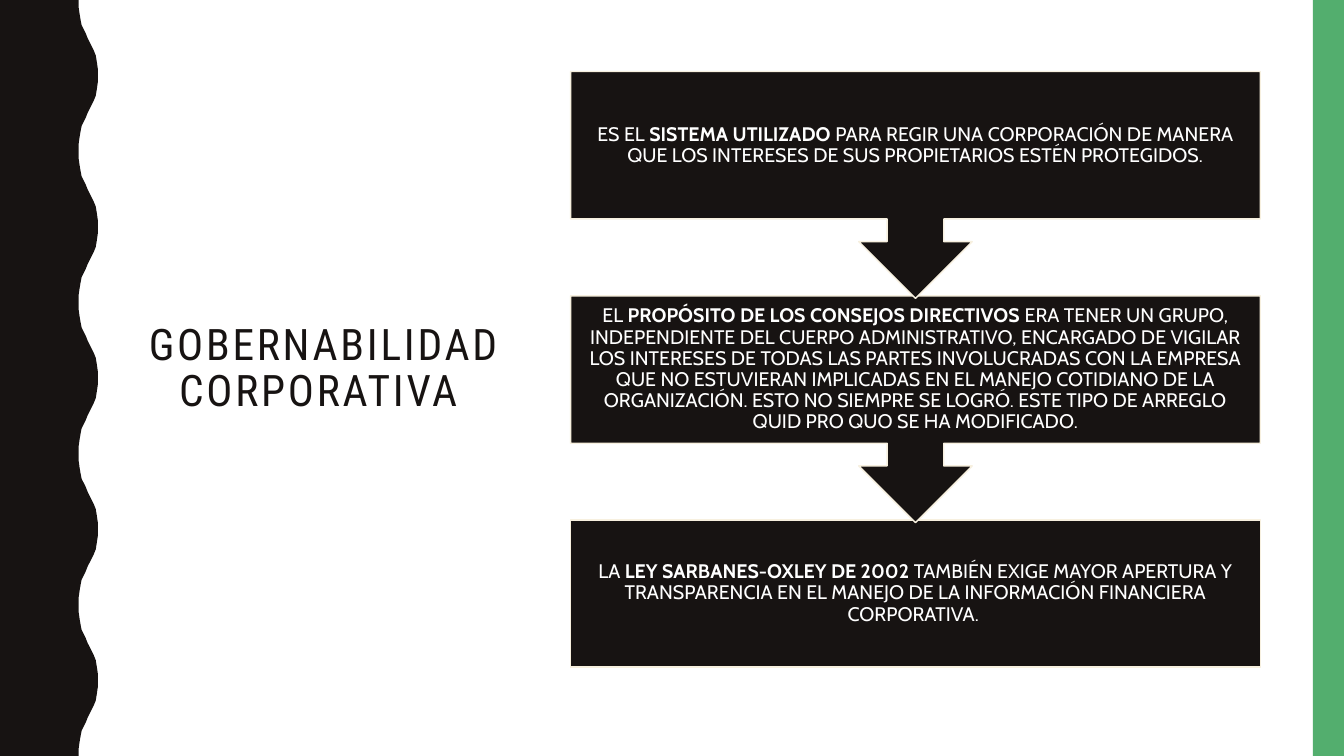
from pptx import Presentation
from pptx.dml.color import RGBColor
from pptx.enum.shapes import MSO_SHAPE
from pptx.enum.text import MSO_ANCHOR, PP_ALIGN
from pptx.util import Inches, Pt

RECTANGLE = MSO_SHAPE.RECTANGLE
ARROW_BOX = MSO_SHAPE.DOWN_ARROW_CALLOUT
MIDDLE = MSO_ANCHOR.MIDDLE
CENTER = PP_ALIGN.CENTER

INK = RGBColor(0x17, 0x13, 0x12)
GREEN = RGBColor(0x53, 0xAE, 0x6E)
CREAM = RGBColor(0xF7, 0xF0, 0xDF)
WHITE = RGBColor(0xFF, 0xFF, 0xFF)

TITLE_FORMAT = {"name": "Roboto Condensed", "size": Pt(31)}
STEP_FORMAT = {"name": "Cabin", "size": Pt(14)}

WAVE_COUNT = 5
HALF_WAVE = [
    (0.78, 0), (0.78, 0.07), (0.79, 0.14), (0.8, 0.2), (0.81, 0.25),
    (0.83, 0.29), (0.85, 0.33), (0.87, 0.38), (0.89, 0.42), (0.91, 0.46),
    (0.93, 0.5), (0.95, 0.55), (0.96, 0.61), (0.97, 0.68), (0.97, 0.75),
]

STEPS = [
    ("ES EL ", "SISTEMA UTILIZADO",
     " PARA REGIR UNA CORPORACIÓN DE MANERA QUE LOS INTERESES DE SUS "
     "PROPIETARIOS ESTÉN PROTEGIDOS."),
    ("EL ", "PROPÓSITO DE LOS CONSEJOS DIRECTIVOS ",
     "ERA TENER UN GRUPO, INDEPENDIENTE DEL CUERPO ADMINISTRATIVO, "
     "ENCARGADO DE VIGILAR LOS INTERESES DE TODAS LAS PARTES INVOLUCRADAS "
     "CON LA EMPRESA QUE NO ESTUVIERAN IMPLICADAS EN EL MANEJO COTIDIANO DE "
     "LA ORGANIZACIÓN. ESTO NO SIEMPRE SE LOGRÓ. ESTE TIPO DE ARREGLO QUID "
     "PRO QUO SE HA MODIFICADO."),
    ("LA ", "LEY SARBANES-OXLEY DE 2002",
     " TAMBIÉN EXIGE MAYOR APERTURA Y TRANSPARENCIA EN EL MANEJO DE LA "
     "INFORMACIÓN FINANCIERA CORPORATIVA. "),
]


def paint(shape, color):
    shape.shadow.inherit = False
    shape.fill.solid()
    shape.fill.fore_color.rgb = color
    shape.line.fill.background()


def centered_paragraph(shape):
    frame = shape.text_frame
    frame.word_wrap = True
    frame.vertical_anchor = MIDDLE
    paragraph = frame.paragraphs[0]
    paragraph.alignment = CENTER
    paragraph.line_spacing = 0.9
    return paragraph


def add_run(paragraph, text, color, formats):
    run = paragraph.add_run()
    run.text = text
    run.font.color.rgb = color
    for attribute, value in formats.items():
        setattr(run.font, attribute, value)
    return run


def add_wavy_band(slide, left, top, height):
    period = height / WAVE_COUNT
    outline = HALF_WAVE + [(x, period - y) for x, y in HALF_WAVE[-2:0:-1]]
    edge = [(left + Inches(x), top + Inches(wave * period + y))
            for wave in range(WAVE_COUNT) for x, y in outline]
    bottom = top + Inches(height)
    edge += [(left + Inches(HALF_WAVE[0][0]), bottom), (left, bottom)]
    builder = slide.shapes.build_freeform(left, top)
    builder.add_line_segments(edge, close=True)
    paint(builder.convert_to_shape(), INK)


def add_side_stripe(slide, left, top, width, height):
    paint(slide.shapes.add_shape(RECTANGLE, left, top, width, height), GREEN)


def add_title(slide, left, top, width, height):
    title = slide.shapes.add_textbox(left, top, width, height)
    run = add_run(centered_paragraph(title), "GOBERNABILIDAD CORPORATIVA ",
                  INK, TITLE_FORMAT)
    run._r.get_or_add_rPr().set("spc", "200")


def add_step_flow(slide, left, top, width, height):
    body_height = Inches(1.46)
    callout_height = Inches(2.25)
    pitch = (height - body_height) // (len(STEPS) - 1)
    for index, texts in reversed(list(enumerate(STEPS))):
        is_last = index == len(STEPS) - 1
        step = slide.shapes.add_shape(
            RECTANGLE if is_last else ARROW_BOX, left, top + index * pitch,
            width, body_height if is_last else callout_height)
        paint(step, INK)
        step.line.color.rgb = CREAM
        step.line.width = Pt(1)
        for side in ("left", "top", "right", "bottom"):
            setattr(step.text_frame, f"margin_{side}", Inches(0.11))
        paragraph = centered_paragraph(step)
        for text, bold in zip(texts, (False, True, False)):
            add_run(paragraph, text, WHITE, {**STEP_FORMAT, "bold": bold})


def main():
    deck = Presentation()
    deck.slide_width = Inches(13.33)
    deck.slide_height = Inches(7.5)
    slide = deck.slides.add_slide(deck.slide_layouts[6])
    add_wavy_band(slide, Inches(0), Inches(0), 7.5)
    add_side_stripe(slide, Inches(13.02), Inches(0), Inches(0.31), Inches(7.5))
    add_title(slide, Inches(1.37), Inches(0.71), Inches(3.7), Inches(5.91))
    add_step_flow(slide, Inches(5.66), Inches(0.71), Inches(6.84), Inches(5.91))
    deck.save("out.pptx")


if __name__ == "__main__":
    main()
